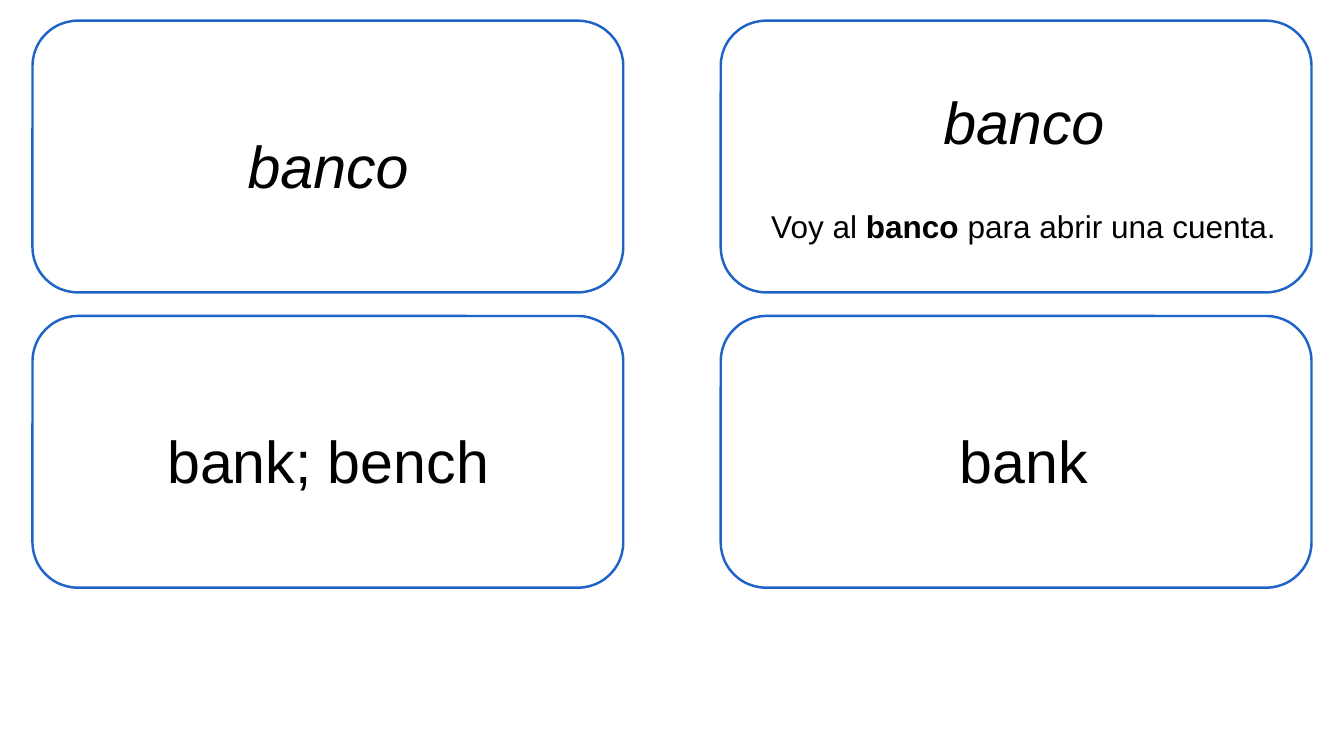
from pptx import Presentation
from pptx.dml.color import RGBColor
from pptx.enum.shapes import MSO_SHAPE as Shape
from pptx.enum.text import MSO_ANCHOR as Anchor, PP_ALIGN as Align
from pptx.util import Pt

CARD_WIDTH, CARD_HEIGHT = 600, 276
CARD_TOP, ROW_PITCH = 21, 300
# Left edge of the cards and inset of their text, per column
COLUMNS = [(33, 36), (732, 43.5)]

WORD_SIZE, EXAMPLE_SIZE = 60, 32
EXAMPLE = [("Voy al ", False), ("banco", True), (" para abrir una cuenta.", False)]
# Rows of (word, italic, example sentence)
CARDS = [
    [("banco", True, []), ("banco", True, EXAMPLE)],
    [("bank; bench", False, []), ("bank", False, [])],
]


def color(hex_code):
    return RGBColor.from_string(hex_code)


def add_frame(slide, left, top):
    frame = slide.shapes.add_shape(
        Shape.ROUNDED_RECTANGLE, Pt(left), Pt(top), Pt(CARD_WIDTH), Pt(CARD_HEIGHT))
    frame.shadow.inherit = False
    frame.fill.background()
    frame.line.color.rgb = color("1E64C8")
    frame.line.width = Pt(2.5)


def format_line(paragraph, size):
    paragraph.alignment = Align.CENTER
    paragraph.line_spacing = 1.2
    paragraph.font.name = "Arial"
    paragraph.font.size = Pt(size)
    paragraph.font.color.rgb = color("000000")


def add_card_text(slide, left, top, word, italic, example):
    box = slide.shapes.add_textbox(Pt(left), Pt(top), Pt(528.5), Pt(230.5))
    text = box.text_frame
    text.word_wrap = True
    text.vertical_anchor = Anchor.MIDDLE
    text.margin_left = text.margin_right = text.margin_top = text.margin_bottom = 0

    heading = text.paragraphs[0]
    heading.text = word
    heading.font.italic = italic
    format_line(heading, WORD_SIZE)

    if example:
        sentence = text.add_paragraph()
        sentence.space_before = Pt(44)
        format_line(sentence, EXAMPLE_SIZE)
        for part, bold in example:
            run = sentence.add_run()
            run.text = part
            run.font.bold = bold


def main():
    deck = Presentation()
    deck.slide_width, deck.slide_height = Pt(1365), Pt(768)
    slide = deck.slides.add_slide(deck.slide_layouts[6])

    for row, cards in enumerate(CARDS):
        top = CARD_TOP + row * ROW_PITCH
        for (left, inset), card in zip(COLUMNS, cards):
            add_frame(slide, left, top)
            add_card_text(slide, left + inset, top + 24, *card)

    deck.save("out.pptx")


if __name__ == "__main__":
    main()
